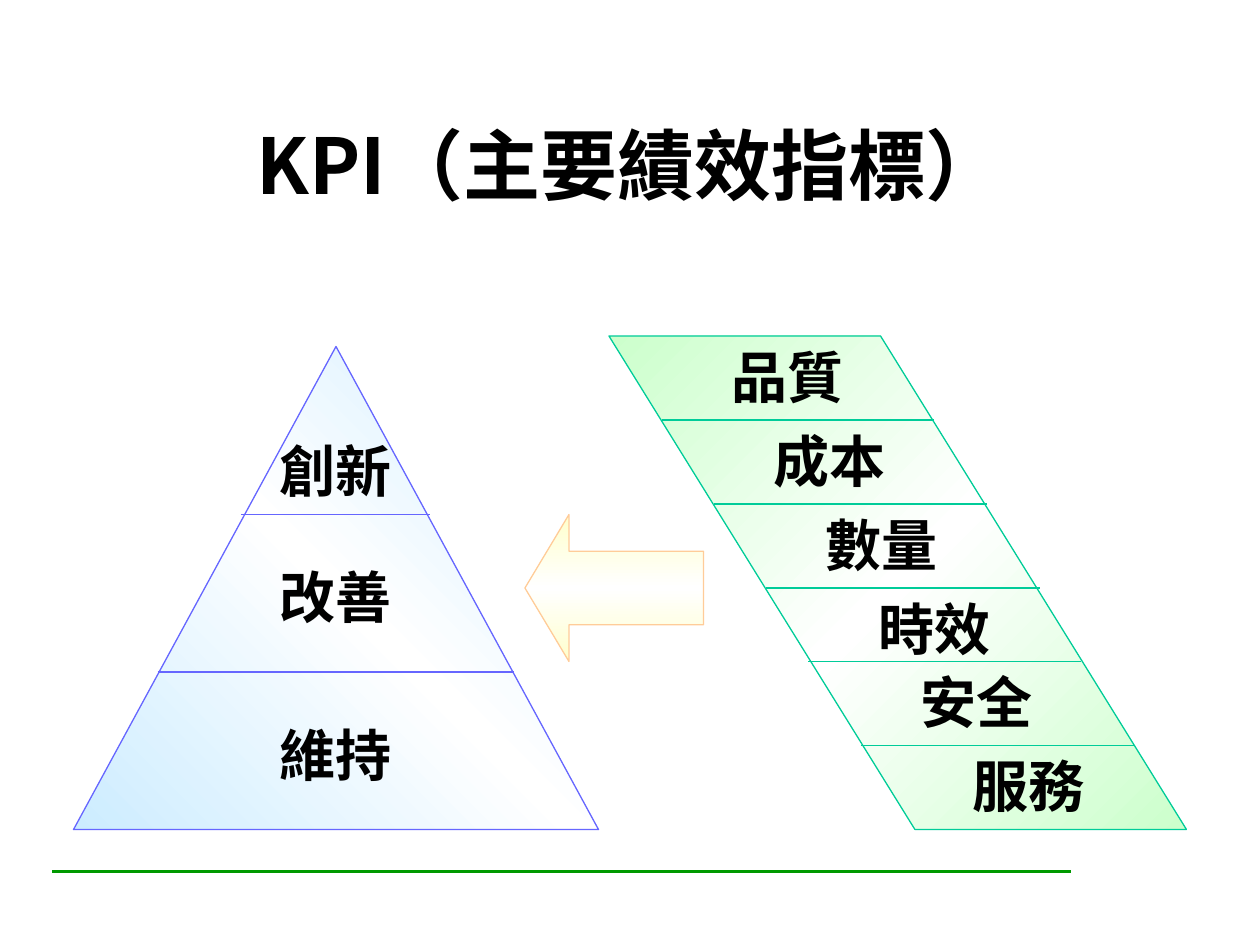
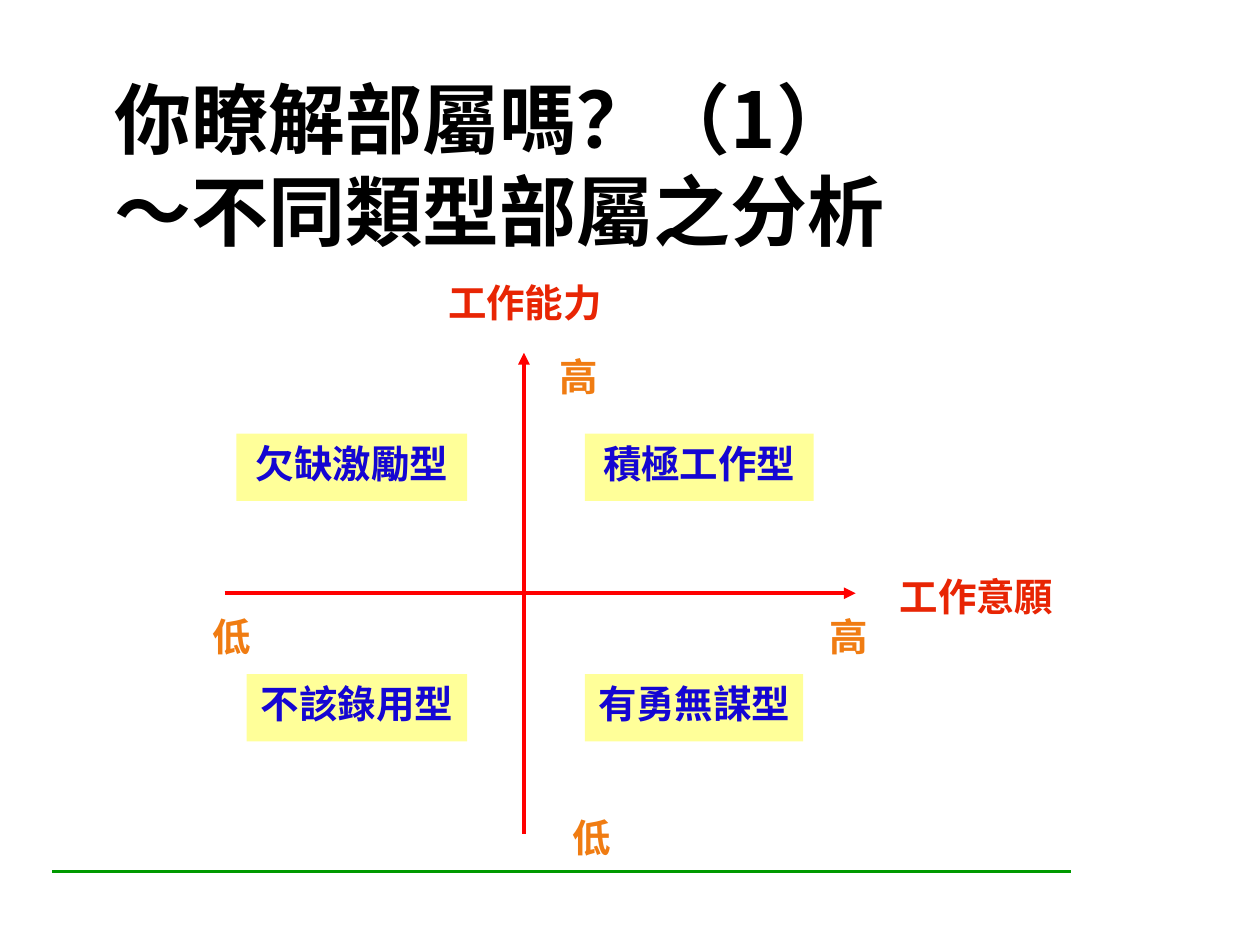
"""Two slides: KPI pyramid with its six measures, and a four-quadrant view of staff types."""
from copy import deepcopy

from lxml import etree
from pptx import Presentation
from pptx.dml.color import RGBColor
from pptx.enum.shapes import MSO_CONNECTOR, MSO_SHAPE
from pptx.enum.text import MSO_ANCHOR, PP_ALIGN
from pptx.oxml.ns import qn
from pptx.util import Inches, Pt

STRAIGHT = MSO_CONNECTOR.STRAIGHT
RECTANGLE, TRIANGLE = MSO_SHAPE.RECTANGLE, MSO_SHAPE.ISOSCELES_TRIANGLE
PARALLELOGRAM, LEFT_ARROW = MSO_SHAPE.PARALLELOGRAM, MSO_SHAPE.LEFT_ARROW
TOP, MIDDLE = MSO_ANCHOR.TOP, MSO_ANCHOR.MIDDLE
LEFT, CENTER = PP_ALIGN.LEFT, PP_ALIGN.CENTER

HEADING_FONT, BODY_FONT = "Noto Sans CJK SC", "Times New Roman"
BLACK, WHITE, YELLOW = "000000", "FFFFFF", "FFFF99"
GREEN, AXIS_RED = "009900", "FF0000"
AXIS_NAME, AXIS_END, STAFF_TYPE = "E82504", "F07C12", "1506D2"
PYRAMID_EDGE, MEASURES_EDGE, ARROW_EDGE = "6666FF", "00CC99", "FFCC99"

deck = Presentation()
deck.slide_width, deck.slide_height = Inches(10), Inches(7.5)
CELL = deck.slide_width / 120
hexa = RGBColor.from_string


def write(slide, text, box, size=32, color=BLACK, font=BODY_FONT, align=CENTER,
          anchor=TOP, fill=None, wrap=True):
    place = [round(cells * CELL) for cells in box]
    if fill:
        holder = slide.shapes.add_shape(RECTANGLE, *place)
        holder.shadow.inherit = False
        holder.fill.solid()
        holder.fill.fore_color.rgb = hexa(fill)
        holder.line.fill.background()
    else:
        holder = slide.shapes.add_textbox(*place)
    frame = holder.text_frame
    frame.word_wrap = wrap
    frame.vertical_anchor = anchor
    paragraph = frame.paragraphs[0]
    paragraph.text = text
    paragraph.alignment = align
    for run in paragraph.runs:
        run.font.name, run.font.size, run.font.bold = font, Pt(size), True
        run.font.color.rgb = hexa(color)
        east_asian = etree.SubElement(run.font._element, qn("a:ea"))
        east_asian.set("typeface", HEADING_FONT)


def rule(slide, x1, y1, x2, y2, color, width=0.75, arrow=False):
    ends = [round(cells * CELL) for cells in (x1, y1, x2, y2)]
    line = slide.shapes.add_connector(STRAIGHT, *ends)
    line.line.color.rgb = hexa(color)
    line.line.width = Pt(width)
    if arrow:
        etree.SubElement(line.line._get_or_add_ln(), qn("a:tailEnd")).set("type", "triangle")
    etree.SubElement(line._element.spPr, qn("a:effectLst"))


headings = [("KPI（主要績效指標）", CENTER), ("你瞭解部屬嗎？（1）\n～不同類型部屬之分析", LEFT)]
for heading, align in headings:
    slide = deck.slides.add_slide(deck.slide_layouts[6])
    rule(slide, 5, 83, 102, 83, GREEN, 1.5)
    write(slide, heading, (9.7, 8.8, 100.6, 13.6), size=44, font=HEADING_FONT,
          align=align, anchor=MIDDLE)
kpi, staff = deck.slides

figures = [
    (TRIANGLE, (7, 33, 50, 46), [0.5], "CCECFF", PYRAMID_EDGE, 225),
    (PARALLELOGRAM, (58, 32, 55, 47), [0.62], "CCFFCC", MEASURES_EDGE, 225),
    (LEFT_ARROW, (50, 49, 17, 14), [0.5, 0.3], "FFFFCC", ARROW_EDGE, 270),
]
for outline, box, adjustments, tint, edge, angle in figures:
    figure = kpi.shapes.add_shape(outline, *[round(cells * CELL) for cells in box])
    figure.shadow.inherit = False
    for index, adjustment in enumerate(adjustments):
        figure.adjustments[index] = adjustment
    if outline == PARALLELOGRAM:
        figure._element.spPr.xfrm.set("flipH", "1")
    figure.fill.gradient()
    figure.fill.gradient_angle = angle
    stop_list = figure._element.spPr.find(".//" + qn("a:gsLst"))
    stop_list.append(deepcopy(stop_list[-1]))
    for stop, position, shade in zip(figure.fill.gradient_stops, (0, 0.5, 1), (tint, WHITE, tint)):
        stop.position = position
        stop.color.rgb = hexa(shade)
    figure.line.color.rgb = hexa(edge)
    figure.line.width = Pt(0.75)

for level, top in [("創新", 41), ("改善", 53), ("維持", 68)]:
    write(kpi, level, (24, top, 16, 7.7))
for half_width, y in [(9, 49), (17, 64)]:
    rule(kpi, 32 - half_width, y, 32 + half_width, y, PYRAMID_EDGE)

measures = [("品質", 59, 32), ("成本", 63, 40), ("數量", 68, 48),
            ("時效", 73, 56), ("安全", 77, 63), ("服務", 82, 71)]
for index, (measure, x, y) in enumerate(measures):
    write(kpi, measure, (x + 8, y, 16, 7.7))
    if index:
        rule(kpi, x, y, x + 26, y, MEASURES_EDGE)

rule(staff, 21.4, 56.5, 81.5, 56.5, AXIS_RED, 2.25, arrow=True)
rule(staff, 49.9, 79.4, 49.9, 33.6, AXIS_RED, 2.25, arrow=True)

quadrant_labels = [
    (AXIS_NAME, WHITE, 6.4, [("工作能力", 41.4, 26, 17.2), ("工作意願", 84.4, 54, 17.2)]),
    (AXIS_END, WHITE, 5.2, [("高", 51.5, 33, 7.2), ("高", 77.2, 57.8, 7.2),
                            ("低", 52.8, 76.9, 7.2), ("低", 18.5, 57.8, 7.2)]),
    (STAFF_TYPE, YELLOW, 6.4, [("積極工作型", 55.7, 41.3, 21.8), ("有勇無謀型", 55.7, 64.2, 20.8),
                               ("欠缺激勵型", 22.5, 41.3, 22), ("不該錄用型", 23.5, 64.2, 21)]),
]
for color, fill, height, labels in quadrant_labels:
    for label, x, y, width in labels:
        write(staff, label, (x, y, width, height), size=22, color=color, fill=fill, wrap=False)

deck.save("out.pptx")
